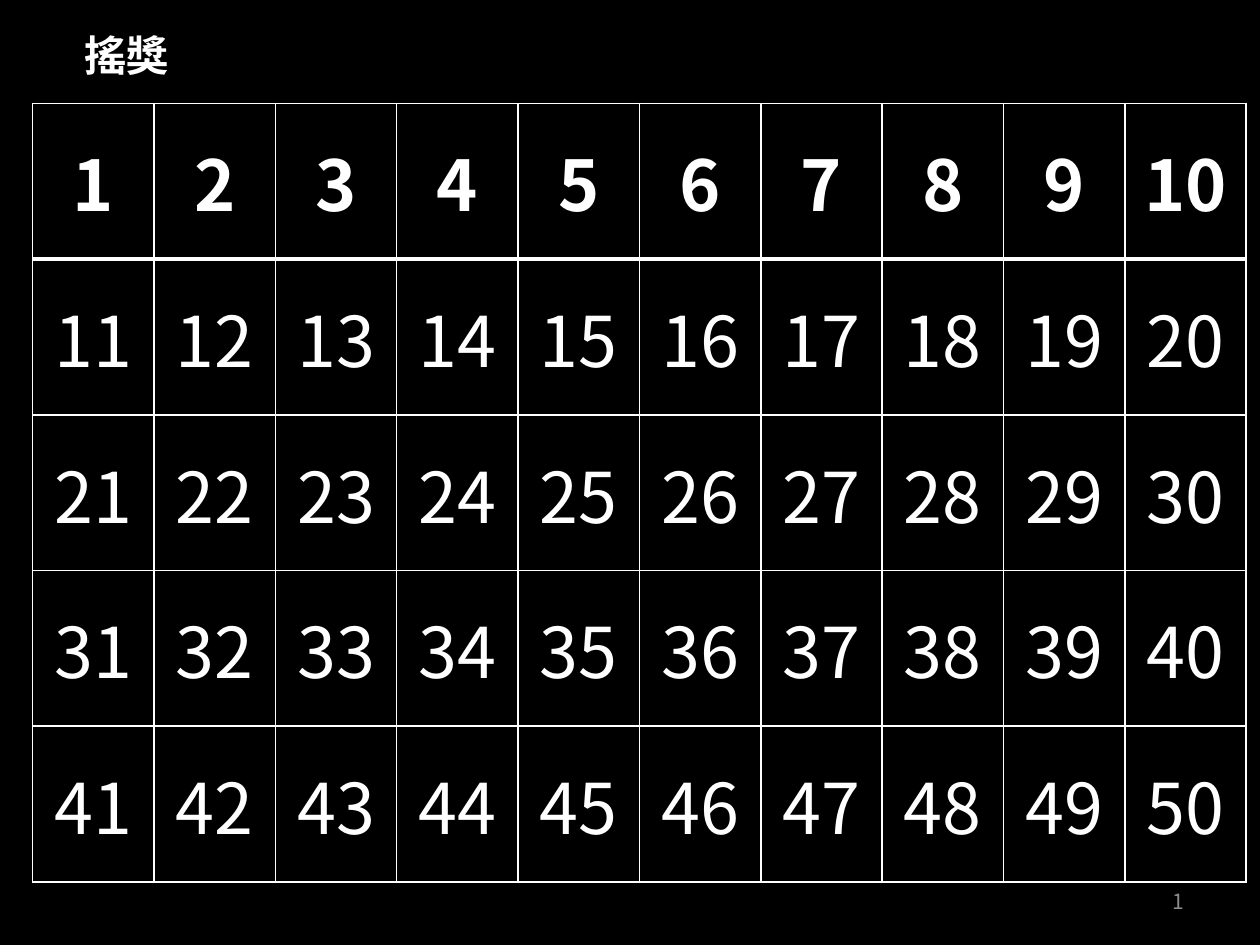
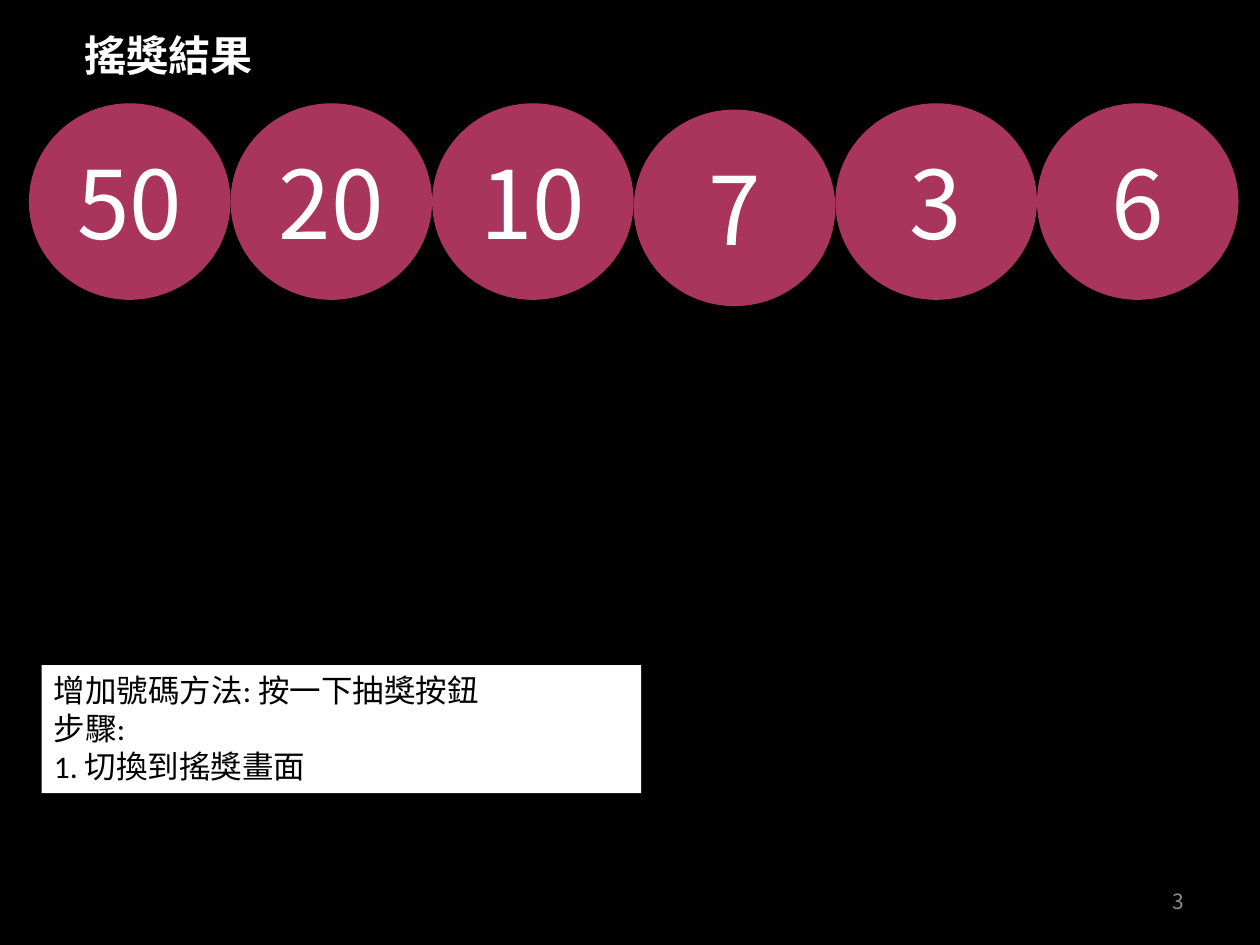
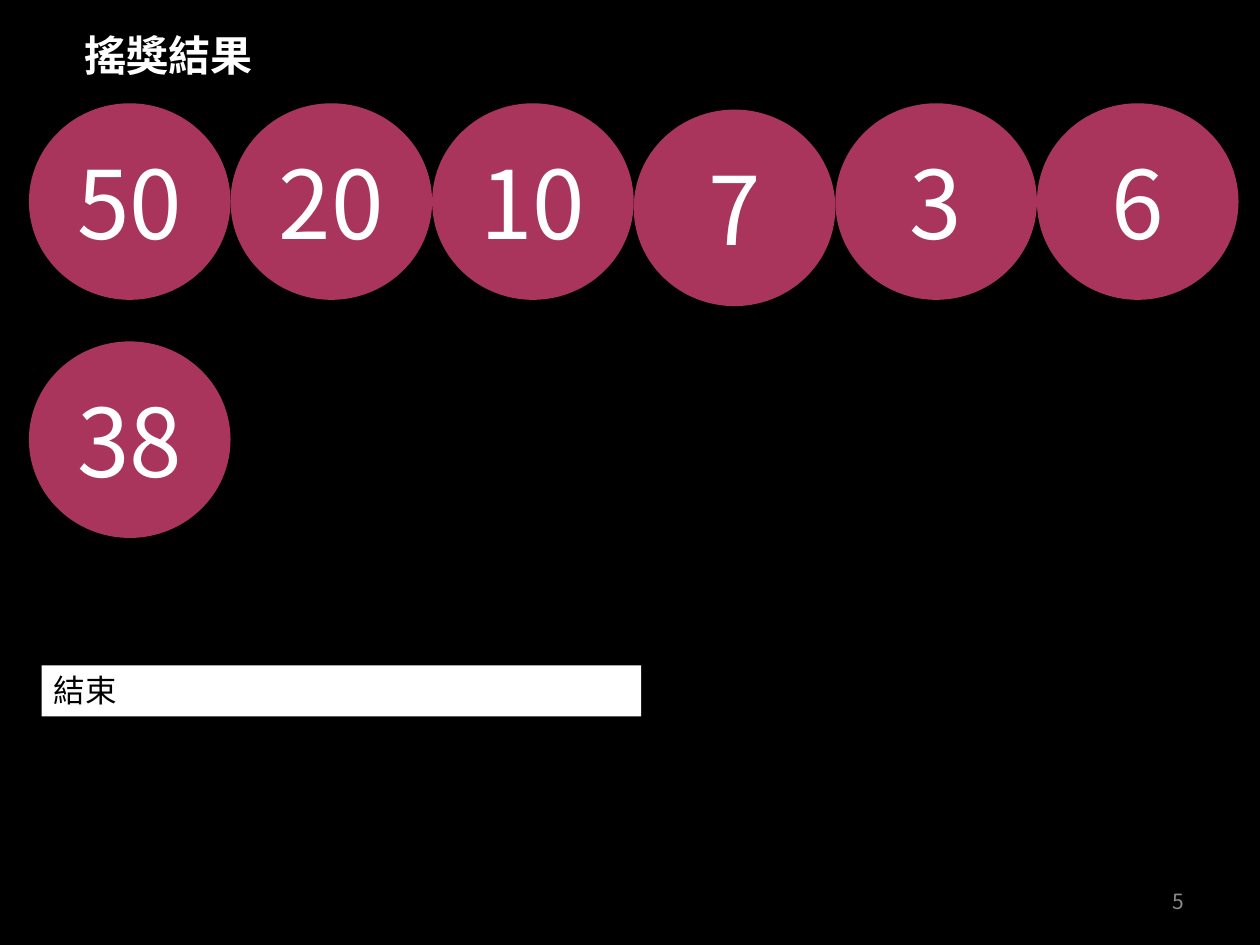
from dataclasses import dataclass
from typing import Any

from lxml import etree
from pptx import Presentation
from pptx.dml.color import RGBColor
from pptx.enum.shapes import MSO_SHAPE
from pptx.enum.text import MSO_ANCHOR, MSO_AUTO_SIZE, PP_ALIGN
from pptx.oxml.ns import qn
from pptx.util import Inches, Pt

OVAL, RECTANGLE = MSO_SHAPE.OVAL, MSO_SHAPE.RECTANGLE
TOP, MIDDLE = MSO_ANCHOR.TOP, MSO_ANCHOR.MIDDLE
LEFT, CENTER, RIGHT = PP_ALIGN.LEFT, PP_ALIGN.CENTER, PP_ALIGN.RIGHT
GROW = MSO_AUTO_SIZE.SHAPE_TO_FIT_TEXT

BLACK = RGBColor(0x00, 0x00, 0x00)
WHITE = RGBColor(0xFF, 0xFF, 0xFF)
GRAY = RGBColor(0x8C, 0x8C, 0x8C)
CRIMSON = RGBColor(0xA9, 0x35, 0x5C)

CJK_FONT = "Noto Sans CJK SC"
NOTE_FONT = "Calibri"

GRID_ROWS, GRID_COLUMNS = 5, 10
BALL_WIDTH, BALL_HEIGHT = 1.6, 1.56
BALL_LEFT, BALL_TOP, BALL_ROW_STEP = 0.23, 0.82, 1.89
BALLS_PER_ROW = 6
LINE_HEIGHT = 0.305
NOTE_PADDING = 0.1


@dataclass(frozen=True)
class TextStyle:
    size: int
    color: RGBColor
    align: Any = LEFT
    anchor: Any = MIDDLE
    bold: bool = False
    font: str = CJK_FONT


@dataclass(frozen=True)
class Ball:
    number: int
    drop: float = 0.0


@dataclass(frozen=True)
class ResultPage:
    page_number: int
    balls: tuple[Ball, ...]
    note_lines: tuple[str, ...]


TITLE_STYLE = TextStyle(24, WHITE, bold=True)
PAGE_NUMBER_STYLE = TextStyle(12, GRAY, align=RIGHT)
HEADER_STYLE = TextStyle(40, WHITE, align=CENTER, bold=True)
NUMBER_STYLE = TextStyle(40, WHITE, align=CENTER)
BALL_STYLE = TextStyle(54, WHITE, align=CENTER)
NOTE_STYLE = TextStyle(18, BLACK, anchor=TOP, font=NOTE_FONT)

FIRST_DRAW = (Ball(50), Ball(20), Ball(10), Ball(7, drop=0.05), Ball(3), Ball(6))
RESULT_PAGES = (
    ResultPage(3, FIRST_DRAW,
               ("增加號碼方法: 按一下抽獎按鈕", "步驟:", "1. 切換到搖獎畫面")),
    ResultPage(5, FIRST_DRAW + (Ball(38),), ("結束",)),
)


def write_lines(frame, lines: tuple[str, ...], style: TextStyle) -> None:
    for index, line in enumerate(lines):
        para = frame.paragraphs[0] if index == 0 else frame.add_paragraph()
        para.alignment = style.align
        span = para.add_run()
        span.text = line
        values = {"size": Pt(style.size), "bold": style.bold, "name": style.font}
        for name, value in values.items():
            setattr(span.font, name, value)
        span.font.color.rgb = style.color
        east_asian = etree.SubElement(span.font._element, qn("a:ea"))
        east_asian.set("typeface", CJK_FONT)


def add_text(page, left: float, top: float, width: float, height: float,
             text: str, style: TextStyle) -> None:
    box = page.shapes.add_textbox(Inches(left), Inches(top), Inches(width), Inches(height))
    box.text_frame.word_wrap = True
    box.text_frame.vertical_anchor = style.anchor
    write_lines(box.text_frame, (text,), style)


def add_filled_shape(page, kind, left: float, top: float, width: float, height: float,
                     fill: RGBColor, lines: tuple[str, ...], style: TextStyle):
    shape = page.shapes.add_shape(kind, Inches(left), Inches(top), Inches(width), Inches(height))
    shape.shadow.inherit = False
    shape.fill.solid()
    shape.fill.fore_color.rgb = fill
    shape.line.fill.background()
    shape.text_frame.word_wrap = True
    shape.text_frame.vertical_anchor = style.anchor
    write_lines(shape.text_frame, lines, style)
    return shape


def add_page(deck, title: str, page_number: int):
    page = deck.slides.add_slide(deck.slide_layouts[6])
    page.background.fill.solid()
    page.background.fill.fore_color.rgb = BLACK
    add_text(page, 7.17, 6.95, 2.33, 0.4, str(page_number), PAGE_NUMBER_STYLE)
    add_text(page, 0.57, 0.05, 9, 0.77, title, TITLE_STYLE)
    return page


def set_borders(cell, widths: dict[str, int]) -> None:
    """Draw white cell edges; call before the fill, which must follow them in the XML."""
    properties = cell._tc.get_or_add_tcPr()
    for edge, width in widths.items():
        line = etree.SubElement(properties, qn(f"a:{edge}"), w=str(Pt(width)))
        fill = etree.SubElement(line, qn("a:solidFill"))
        etree.SubElement(fill, qn("a:srgbClr"), val=str(WHITE))


def add_number_grid(page) -> None:
    frame = page.shapes.add_table(GRID_ROWS, GRID_COLUMNS, Inches(0.26), Inches(0.82),
                                  Inches(9.63), Inches(6.18))
    table = frame.table
    table.horz_banding = False
    for row in range(GRID_ROWS):
        for column in range(GRID_COLUMNS):
            cell = table.cell(row, column)
            set_borders(cell, {"lnL": 1, "lnR": 1,
                               "lnT": 3 if row == 1 else 1,
                               "lnB": 3 if row == 0 else 1})
            cell.fill.solid()
            cell.fill.fore_color.rgb = BLACK
            cell.vertical_anchor = MIDDLE
            number = row * GRID_COLUMNS + column + 1
            write_lines(cell.text_frame, (str(number),),
                        HEADER_STYLE if row == 0 else NUMBER_STYLE)


def add_balls(page, balls: tuple[Ball, ...]) -> None:
    for index, ball in enumerate(balls):
        row, column = divmod(index, BALLS_PER_ROW)
        add_filled_shape(page, OVAL, BALL_LEFT + column * BALL_WIDTH,
                         BALL_TOP + row * BALL_ROW_STEP + ball.drop,
                         BALL_WIDTH, BALL_HEIGHT, CRIMSON, (str(ball.number),), BALL_STYLE)


def add_note(page, lines: tuple[str, ...]) -> None:
    height = NOTE_PADDING + LINE_HEIGHT * len(lines)
    note = add_filled_shape(page, RECTANGLE, 0.33, 5.28, 4.76, height, WHITE, lines, NOTE_STYLE)
    note.text_frame.auto_size = GROW


def main() -> None:
    deck = Presentation()
    deck.slide_width, deck.slide_height = Inches(10), Inches(7.5)
    add_number_grid(add_page(deck, "搖獎", 1))
    for result in RESULT_PAGES:
        page = add_page(deck, "搖獎結果", result.page_number)
        add_balls(page, result.balls)
        add_note(page, result.note_lines)
    deck.save("out.pptx")


if __name__ == "__main__":
    main()
